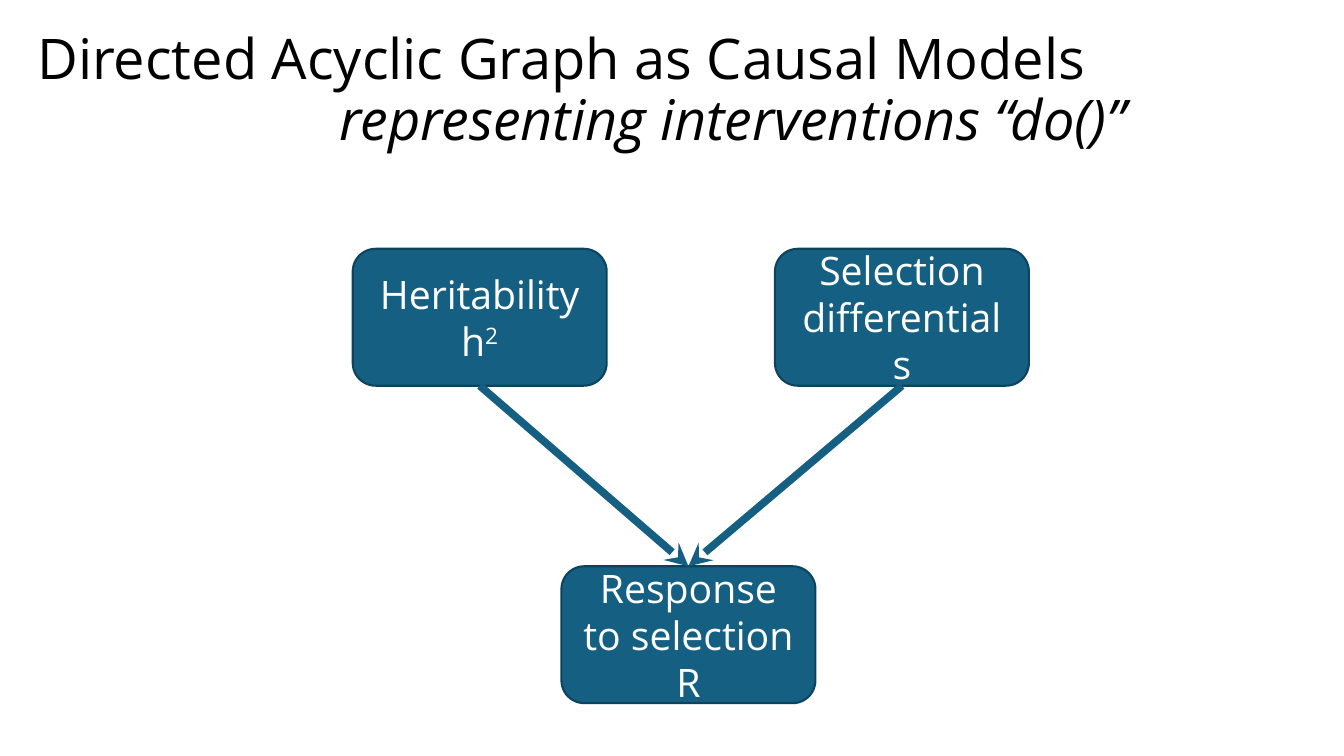
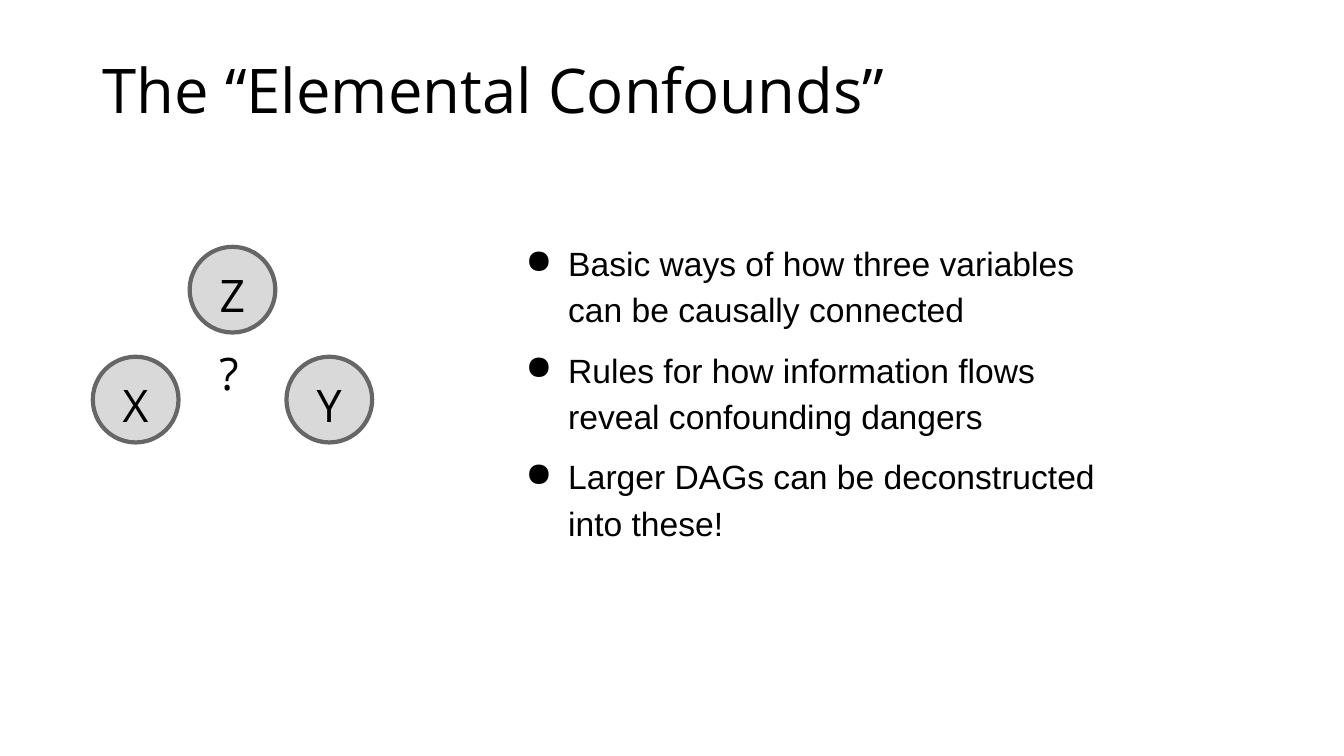
from dataclasses import dataclass

from pptx import Presentation
from pptx import util as u
from pptx.dml.color import RGBColor as Rgb
from pptx.enum import shapes, text
from pptx.oxml.ns import qn
from lxml import etree

Cm, Pt = u.Cm, u.Pt
MID, TOP = text.MSO_ANCHOR.MIDDLE, text.MSO_ANCHOR.TOP
LEFT, CENTER = text.PP_ALIGN.LEFT, text.PP_ALIGN.CENTER


@dataclass(frozen=True)
class Theme:
    ink: str = "000000"
    paper: str = "FFFFFF"
    blue: str = "156082"
    navy: str = "0C445E"
    gray: str = "D9D9D9"
    rim: str = "666666"
    face: str = "Open Sans"
    plain: str = "Arial"
    head: int = 44
    long: int = 40
    mark: int = 32
    node: int = 28
    body: int = 24


T = Theme()


def style(para, size, color=T.ink, face=T.face, align=LEFT):
    para.alignment = align
    font = para.font
    font.name, font.size = face, Pt(size)
    font.color.rgb = Rgb.from_string(color)


def frame(shape, anchor=TOP, pad=(0.25, 0.13, 0.25, 0.13)):
    tf = shape.text_frame
    tf.word_wrap = True
    tf.vertical_anchor = anchor
    tf.margin_left, tf.margin_top, tf.margin_right, tf.margin_bottom = map(Cm, pad)
    return tf


def label(slide, box, **opts):
    return frame(slide.shapes.add_textbox(*map(Cm, box)), **opts)


def shape(slide, kind, box, fill, line, width):
    item = slide.shapes.add_shape(kind, *map(Cm, box))
    item.shadow.inherit = False
    item.fill.solid()
    item.fill.fore_color.rgb = Rgb.from_string(fill)
    item.line.color.rgb = Rgb.from_string(line)
    item.line.width = Pt(width)
    return item


def title(slide, box, lines, size, indent=0):
    tf = label(slide, box, anchor=MID)
    tf.text = "\n".join(lines)
    for i, para in enumerate(tf.paragraphs):
        style(para, size)
        para.line_spacing = 0.9
        if i:
            para.font.italic = True
            para._p.get_or_add_pPr().set("marL", str(Cm(indent)))


def node(slide, box, name, sign, power=""):
    item = shape(slide, shapes.MSO_SHAPE.FLOWCHART_ALTERNATE_PROCESS, box,
                 T.blue, T.navy, 1.5)
    tf = frame(item, MID)
    tf.text = f"{name}\n{sign}"
    if power:
        run = tf.paragraphs[1].add_run()
        run.text = power
        run.font._element.set("baseline", "30000")
    for para in tf.paragraphs:
        style(para, T.node, T.paper, align=CENTER)
    return item


def arrow(slide, start, end):
    link = slide.shapes.add_connector(shapes.MSO_CONNECTOR.STRAIGHT, 0, 0, 0, 0)
    link.begin_connect(start, 2)
    link.end_connect(end, 0)
    link.line.color.rgb = Rgb.from_string(T.blue)
    link.line.width = Pt(5.5)
    etree.SubElement(link.line._get_or_add_ln(), qn("a:tailEnd"), type="stealth")
    etree.SubElement(link._element.spPr, qn("a:effectLst"))


def graph(slide, left, top):
    wide, high = 6.4, 3.45
    cause = node(slide, (left, top, wide, high), "Heritability", "h", "2")
    force = node(slide, (left + 10.64, top, wide, high), "Selection differential", "s")
    result = node(slide, (left + 5.26, top + 8, wide, high), "Response to selection", "R")
    for start in (cause, force):
        arrow(slide, start, result)


def trio(slide, left, top):
    size, step, drop = 2.16, 2.44, 2.77
    for name, col, row in (("X", 0, 1), ("Y", 2, 1), ("Z", 1, 0)):
        box = (left + col * step, top + row * drop, size, size)
        item = shape(slide, shapes.MSO_SHAPE.OVAL, box, T.gray, T.rim, 3)
        tf = frame(item, MID, (0, 0.25, 0, 0))
        tf.text = name
        style(tf.paragraphs[0], T.mark, align=CENTER)
    tf = label(slide, (left + 2.94, top + 2.24, 1.17, 1.88), pad=(0.25,) * 4)
    tf.text = "?"
    style(tf.paragraphs[0], T.mark)


def points(slide, box, lines):
    tf = label(slide, box)
    tf.text = "\n".join(lines)
    for i, para in enumerate(tf.paragraphs):
        props = para._p.get_or_add_pPr()
        props.set("marL", str(Cm(1.27)))
        props.set("indent", str(Cm(-1.07)))
        color = etree.SubElement(props, qn("a:buClr"))
        etree.SubElement(color, qn("a:srgbClr"), val=T.ink)
        etree.SubElement(props, qn("a:buChar"), char="●")
        style(para, T.body, face=T.plain)
        para.line_spacing = 1.15
        para.space_before = Pt(10 if i else 0)


def models(slide):
    title(slide, (0.69, 0.48, 30.78, 3.68),
          ("Directed Acyclic Graph as Causal Models",
           "representing interventions “do()”"), T.long, 7.62)
    graph(slide, 8.89, 6.27)


def confounds(slide):
    title(slide, (2.34, 0.51, 29.21, 3.68), ("The “Elemental Confounds”",), T.head)
    points(slide, (12.8, 5.84, 15.75, 9.37),
           ("Basic ways of how three variables can be causally connected",
            "Rules for how information flows reveal confounding dangers",
            "Larger DAGs can be deconstructed into these!"))
    trio(slide, 2.34, 6.22)


def main():
    deck = Presentation()
    deck.slide_width, deck.slide_height = Cm(33.87), Cm(19.05)
    for build in (models, confounds):
        build(deck.slides.add_slide(deck.slide_layouts[6]))
    deck.save("out.pptx")


if __name__ == "__main__":
    main()
